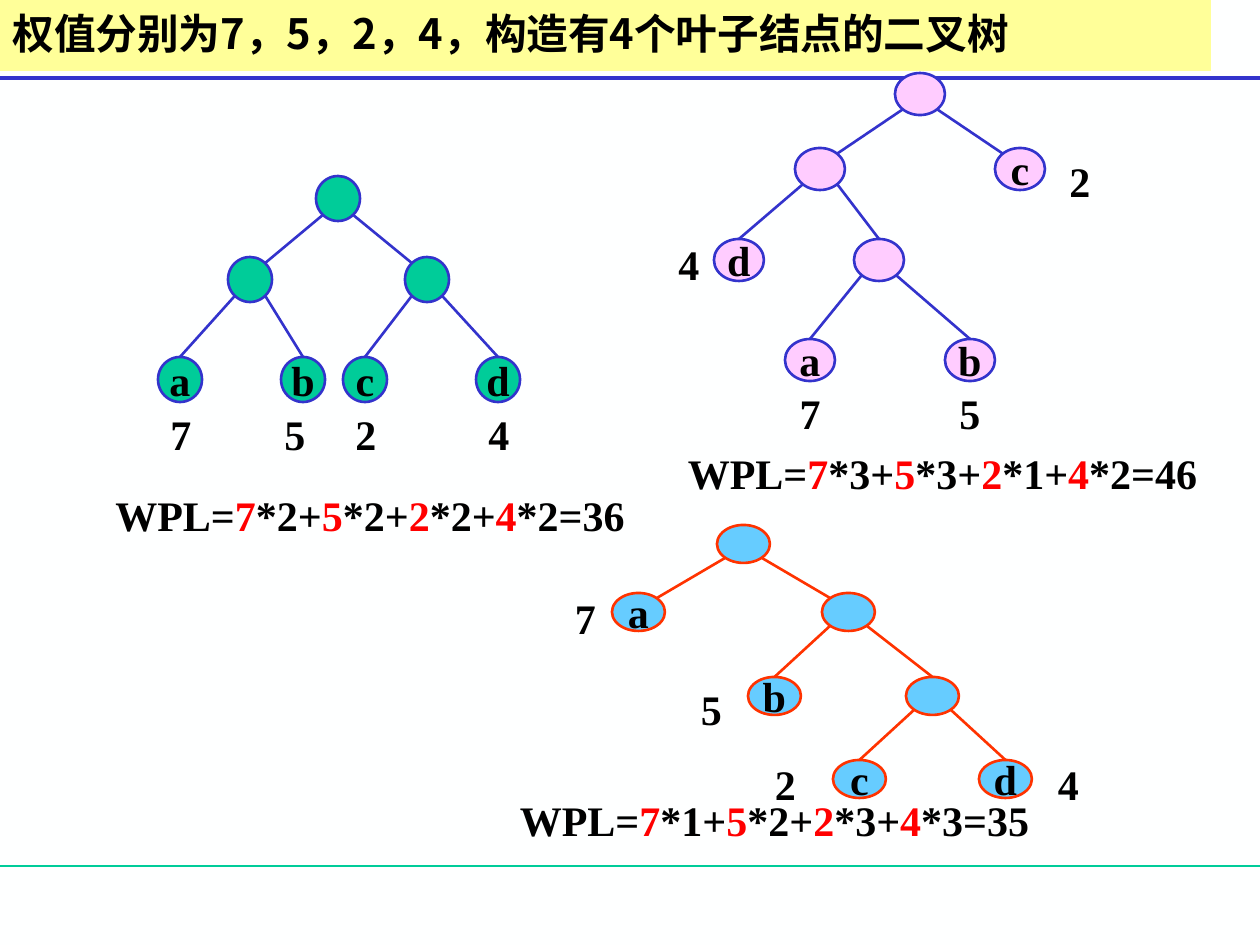
from lxml import etree
from pptx import Presentation, util as u
from pptx.dml.color import RGBColor
from pptx.enum import shapes, text
from pptx.oxml.ns import qn

PX = 914400 / 126
COLOR = {"back": "FEFFFF", "band": "FFFF99", "ink": "000000", "red": "FF0000",
         "blue": "3333CC", "green": "00CC99", "pink": "FFCCFF",
         "sky": "66CCFF", "fire": "FF3300"}
WEIGHT = {"a": 7, "b": 5, "c": 2, "d": 4}

# Node rows: parent row, left, top, leaf letter, weight left, weight top
EVEN = [(None, 158, 0), (0, 70, 81), (0, 247, 81),
        (1, 0, 181, "a", 0, 226), (1, 123, 181, "b", 114, 226),
        (2, 185, 181, "c", 185, 226), (2, 318, 181, "d", 318, 226)]
LEFT = [(None, 181, 0), (0, 81, 75), (1, 140, 166),
        (1, 0, 166, "d", -50, 159), (0, 281, 75, "c", 341, 76),
        (2, 71, 266, "a", 71, 308), (2, 231, 266, "b", 231, 308)]
RIGHT = [(None, 105, 0), (0, 210, 68), (1, 294, 152),
         (0, 0, 68, "a", -53, 61), (1, 136, 152, "b", 73, 152),
         (2, 221, 235, "c", 147, 227), (2, 367, 235, "d", 430, 227)]


def emu(*vals):
    """Turn px into EMU."""
    return [u.Emu(round(v * PX)) for v in vals]


def rgb(name):
    """Look up a colour."""
    return RGBColor.from_string(COLOR[name])


def style(para):
    """Format a centred serif paragraph."""
    para.alignment = text.PP_ALIGN.CENTER
    font = para.font
    font.name, font.size, font.bold = "Times New Roman", u.Pt(24), True
    font.color.rgb = rgb("ink")


def line(slide, start, end, color, width):
    """Draw a plain straight line."""
    con = slide.shapes.add_connector(
        shapes.MSO_CONNECTOR.STRAIGHT, *emu(*start, *end))
    con.line.color.rgb = rgb(color)
    con.line.width = u.Pt(width)
    etree.SubElement(con._element.spPr, qn("a:effectLst"))


def label(slide, box, parts):
    """Write one centred line from (words, colour) parts."""
    frame = slide.shapes.add_textbox(*emu(*box)).text_frame
    frame.word_wrap = True
    para = frame.paragraphs[0]
    style(para)
    for words, color in parts:
        run = para.add_run()
        run.text = words
        if color != "ink":
            run.font.color.rgb = rgb(color)


def node(slide, box, letter, fill, edge):
    """Draw one tree node."""
    oval = slide.shapes.add_shape(shapes.MSO_SHAPE.OVAL, *emu(*box))
    oval.shadow.inherit = False
    oval.fill.solid()
    oval.fill.fore_color.rgb = rgb(fill)
    oval.line.color.rgb = rgb(edge)
    oval.line.width = u.Pt(1.5)
    if letter:
        frame = oval.text_frame
        frame.word_wrap = False
        frame.vertical_anchor = text.MSO_ANCHOR.MIDDLE
        frame.text = letter
        style(frame.paragraphs[0])


def tree(slide, left, top, size, rows, fill, edge):
    """Draw a tree and return the depth of each leaf."""
    wide, high = size
    depth, leaves = [], {}

    def spot(row, across, down):
        return (left + row[1] + wide * across, top + row[2] + high * down)

    for row in rows:
        up = row[0]
        depth.append(0 if up is None else depth[up] + 1)
        if up is not None:
            over = rows[up]
            right = row[1] > over[1]
            start = spot(over, 0.85 if right else 0.15, 0.87)
            if up == 0:
                end = spot(row, 0.15 if right else 0.85, 0.13)
            else:
                end = spot(row, 0.5, 0)
            line(slide, start, end, edge, 1.5)
    for row, deep in zip(rows, depth):
        letter = row[3] if len(row) > 3 else ""
        node(slide, (*spot(row, 0, 0), wide, high), letter, fill, edge)
        if letter:
            leaves[letter] = deep
            label(slide, (left + row[4], top + row[5], wide, 63),
                  [(str(WEIGHT[letter]), "ink")])
    return leaves


def total(slide, box, leaves):
    """Write the weighted path length of a tree."""
    parts, gap = [], "WPL="
    for letter, weight in WEIGHT.items():
        parts += [(gap, "ink"), (str(weight), "red")]
        gap = f"*{leaves[letter]}+"
    score = sum(WEIGHT[k] * leaves[k] for k in WEIGHT)
    parts.append((f"{gap[:-1]}={score}", "ink"))
    label(slide, box, parts)


def head(slide, box):
    """Place the title on its band."""
    title = slide.shapes.title
    title.left, title.top, title.width, title.height = emu(*box)
    title.fill.solid()
    title.fill.fore_color.rgb = rgb("band")
    frame = title.text_frame
    frame.text = "权值分别为7，5，2，4，构造有4个叶子结点的二叉树"
    frame.auto_size = text.MSO_AUTO_SIZE.NONE
    frame.vertical_anchor = text.MSO_ANCHOR.MIDDLE
    para = frame.paragraphs[0]
    para.alignment = text.PP_ALIGN.LEFT
    para.line_spacing = 0.9
    font = para.runs[0].font
    font.name, font.size, font.bold = "Noto Sans CJK SC", u.Pt(23.8), True
    font.color.rgb = rgb("ink")
    east = etree.SubElement(font._element, qn("a:ea"))
    east.set("typeface", "Noto Sans CJK SC")


def main():
    """Build the slide."""
    deck = Presentation()
    deck.slide_width, deck.slide_height = emu(1260, 945)
    slide = deck.slides.add_slide(deck.slide_layouts[5])
    slide.background.fill.solid()
    slide.background.fill.fore_color.rgb = rgb("back")
    head(slide, (0, 0, 1211, 71))
    line(slide, (0, 866), (1260, 866), "green", 0.75)
    line(slide, (0, 78), (1260, 78), "blue", 2.25)
    plans = [
        (714, 73, (50, 42), LEFT, "pink", "blue", (675, 441, 535, 63)),
        (612, 525, (53, 38), RIGHT, "sky", "fire", (507, 788, 535, 63)),
        (158, 176, (44, 45), EVEN, "green", "blue", (97, 483, 546, 63)),
    ]
    for *plan, box in plans:
        total(slide, box, tree(slide, *plan))
    deck.save("out.pptx")


if __name__ == "__main__":
    main()
